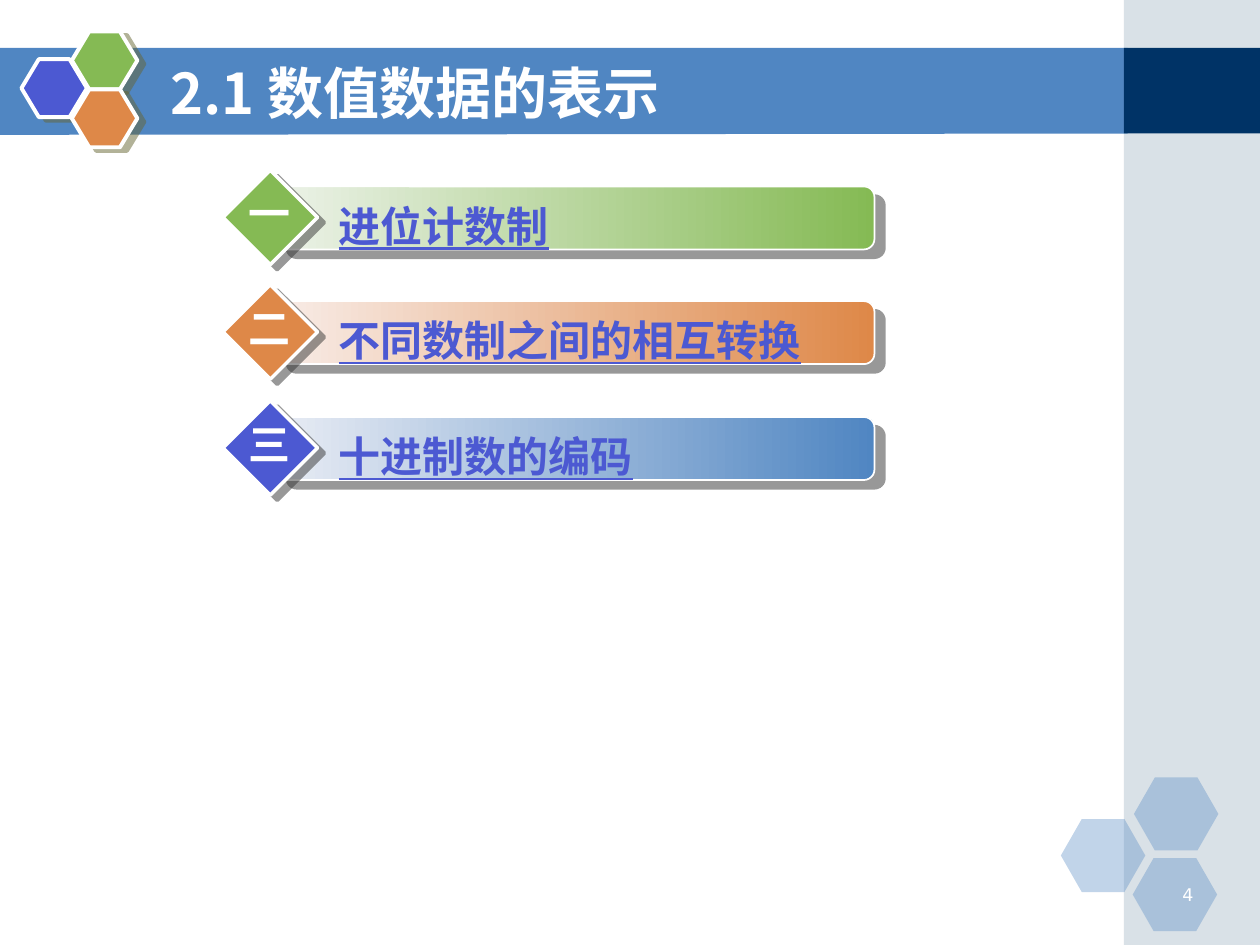
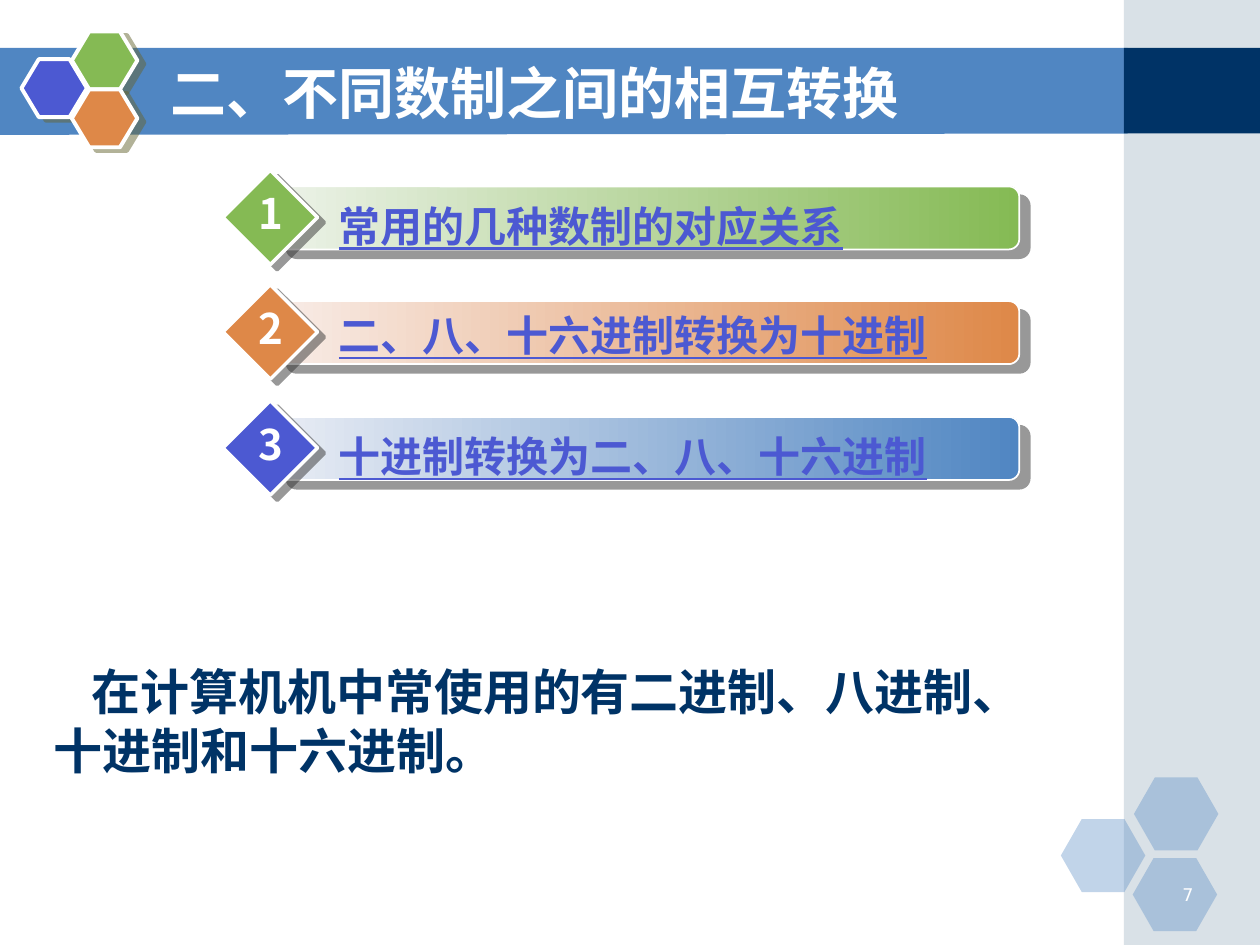
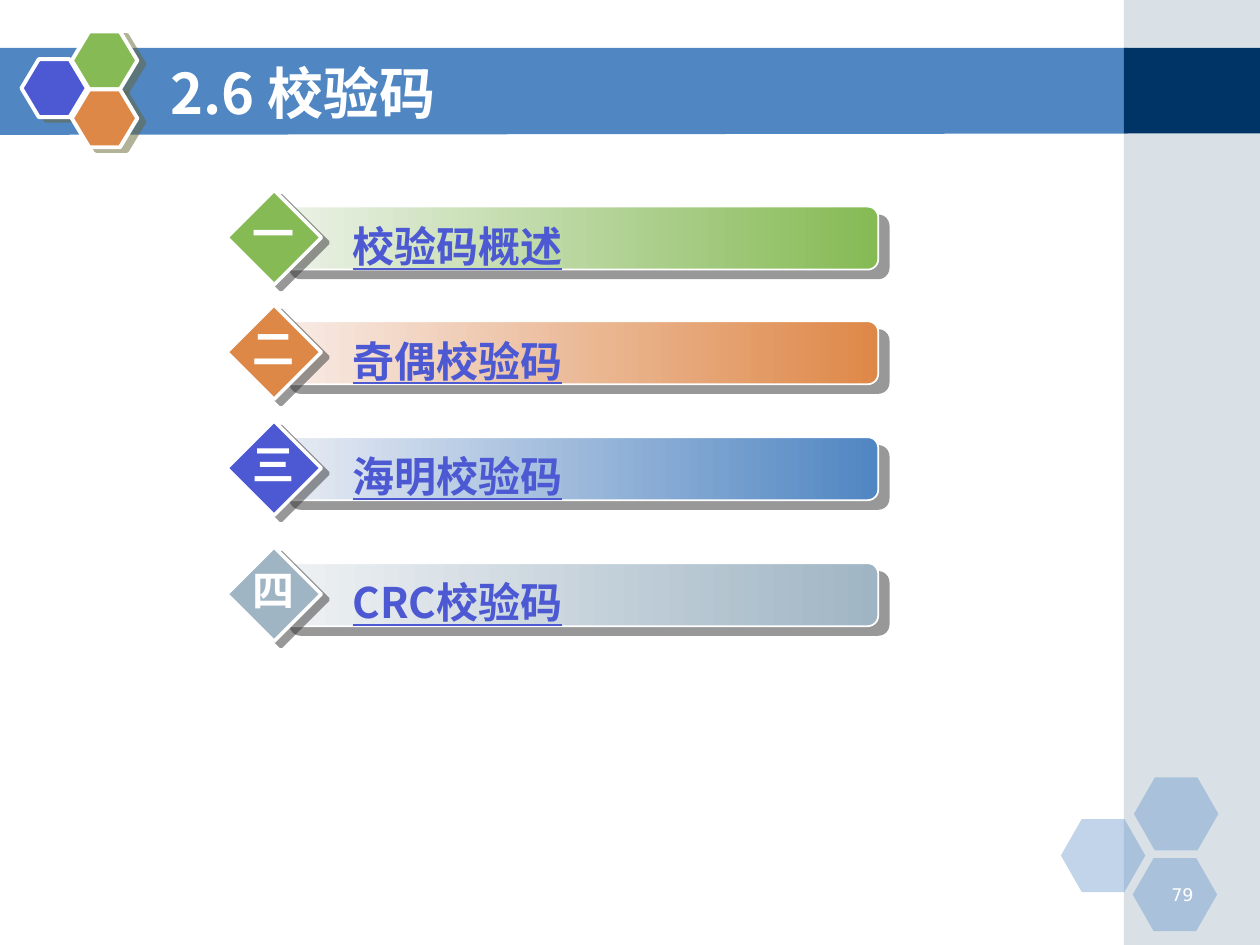
"""Build three agenda slides on number representation and check codes."""
from dataclasses import dataclass

from lxml import etree
from pptx import Presentation
from pptx.dml.color import RGBColor
from pptx.enum import shapes as kinds, text as txt
from pptx.oxml import ns
from pptx.util import Inches, Pt

WHITE = RGBColor(0xFF, 0xFF, 0xFF)
NAVY = RGBColor(0x00, 0x33, 0x66)
BLUE = RGBColor(0x50, 0x86, 0xC2)
INDIGO = RGBColor(0x4C, 0x59, 0xD2)
GREEN = RGBColor(0x85, 0xBA, 0x54)
ORANGE = RGBColor(0xDE, 0x88, 0x48)
STEEL = RGBColor(0xA0, 0xB5, 0xC4)
PALE_GREEN = RGBColor(0xEC, 0xF2, 0xE8)
PALE_ORANGE = RGBColor(0xF8, 0xEC, 0xE7)
PALE_BLUE = RGBColor(0xE8, 0xEC, 0xF4)
PALE_STEEL = RGBColor(0xEF, 0xF2, 0xF4)
OLIVE = RGBColor(0x66, 0x66, 0x33)
CHARCOAL = RGBColor(0x33, 0x33, 0x33)

CJK_FONT = "Noto Sans CJK SC"
NUMBER_FONT = "DejaVu Sans"
Box = tuple[float, float, float, float]


@dataclass(frozen=True)
class Shadow:
    """A half-transparent offset shadow."""
    color: RGBColor
    distance: float
    angle: int


@dataclass(frozen=True)
class Hexagon:
    """One cell of a honeycomb."""
    left: float
    top: float
    color: RGBColor


@dataclass(frozen=True)
class Palette:
    """Colours of one agenda row."""
    diamond: RGBColor
    bar_start: RGBColor
    bar_end: RGBColor


@dataclass(frozen=True)
class Entry:
    """One agenda row."""
    numeral: str
    topic: str
    top: float
    label_drop: float = 0.06


@dataclass(frozen=True)
class Agenda:
    """One agenda slide with its row measures."""
    title: str
    page: str
    entries: tuple[Entry, ...]
    left: float = 2.19
    bar_width: float = 4.75
    label_width: float = 4.3
    label_height: float = 0.5
    label_indent: float = 0.15
    numeral_width: float = 0.54
    remark: str = ""


HEX_SHADOW = Shadow(OLIVE, 4.5, 27)
BAR_SHADOW = Shadow(CHARCOAL, 7.8, 40)
DIAMOND_SHADOW = Shadow(CHARCOAL, 5, 37)

EMBLEM = (Hexagon(0.17, 0.47, INDIGO), Hexagon(0.57, 0.25, GREEN), Hexagon(0.57, 0.71, ORANGE))
HONEYCOMB = (Hexagon(8.42, 6.5, BLUE), Hexagon(9, 6.17, BLUE), Hexagon(8.99, 6.81, BLUE))

PALETTES = (
    Palette(GREEN, PALE_GREEN, GREEN),
    Palette(ORANGE, PALE_ORANGE, ORANGE),
    Palette(INDIGO, PALE_BLUE, BLUE),
    Palette(STEEL, PALE_STEEL, STEEL),
)

AGENDAS = (
    Agenda("2.1 数值数据的表示", "4", (
        Entry("一", "进位计数制", 1.48),
        Entry("二", "不同数制之间的相互转换", 2.39),
        Entry("三", "十进制数的编码", 3.31),
    )),
    Agenda("二、不同数制之间的相互转换", "7", (
        Entry("1", "常用的几种数制的对应关系", 1.48),
        Entry("2", "二、八、十六进制转换为十进制", 2.39, 0.02),
        Entry("3", "十进制转换为二、八、十六进制", 3.31),
    ), bar_width=5.9, label_width=5.51, label_height=0.9, numeral_width=0.37,
        remark="在计算机机中常使用的有二进制、八进制、十进制和十六进制。"),
    Agenda("2.6 校验码", "79", (
        Entry("一", "校验码概述", 1.64),
        Entry("二", "奇偶校验码", 2.55),
        Entry("三", "海明校验码", 3.47),
        Entry("四", "CRC校验码", 4.47),
    ), left=2.22, label_width=3.75, label_indent=0.23, numeral_width=0.53),
)


def place(box: Box) -> list[Inches]:
    """Turn a box in inches into lengths."""
    return [Inches(side) for side in box]


def add_alpha(color_element, percent: int) -> None:
    """Make a colour element partly transparent."""
    etree.SubElement(color_element, ns.qn("a:alpha"), val=str(percent * 1000))


def cast_shadow(shape, shadow: Shadow) -> None:
    """Give a shape an offset shadow."""
    effects = shape.element.spPr.find(ns.qn("a:effectLst"))
    outer = etree.SubElement(effects, ns.qn("a:outerShdw"), dist=str(Pt(shadow.distance)),
                             dir=str(shadow.angle * 60000), algn="ctr", rotWithShape="0")
    add_alpha(etree.SubElement(outer, ns.qn("a:srgbClr"), val=str(shadow.color)), 50)


def paint(shape, fill: RGBColor, alpha: int = 100) -> None:
    """Fill a shape flatly, without outline or shadow."""
    shape.shadow.inherit = False
    shape.fill.solid()
    shape.fill.fore_color.rgb = fill
    shape.line.fill.background()
    if alpha < 100:
        add_alpha(shape.element.spPr.find(".//" + ns.qn("a:srgbClr")), alpha)


def add_solid(slide, kind, box: Box, fill: RGBColor, alpha: int = 100):
    """Add a flat preset shape."""
    shape = slide.shapes.add_shape(kind, *place(box))
    paint(shape, fill, alpha)
    return shape


def outline(shape, width: float, shadow: Shadow) -> None:
    """Give a shape a white edge and a shadow."""
    shape.line.color.rgb = WHITE
    shape.line.width = Pt(width)
    cast_shadow(shape, shadow)


def write(paragraph, words: str, size: float, color: RGBColor, font: str = CJK_FONT,
          bold: bool = True, underline: bool = False) -> None:
    """Add one formatted run to a paragraph."""
    run = paragraph.add_run()
    run.text = words
    run.font.size = Pt(size)
    run.font.bold = bold
    if underline:
        run.font.underline = True
    run.font.color.rgb = color
    run.font.name = font
    latin = run.font._element.find(ns.qn("a:latin"))
    latin.addnext(latin.makeelement(ns.qn("a:ea"), typeface=font))


def add_text(slide, box: Box, align=txt.PP_ALIGN.LEFT, wrap: bool = True,
             margin: float = 0, indent: float = 0):
    """Add a text box and return its first paragraph."""
    frame = slide.shapes.add_textbox(*place(box)).text_frame
    frame.word_wrap = wrap
    paragraph = frame.paragraphs[0]
    paragraph.alignment = align
    properties = paragraph._p.get_or_add_pPr()
    properties.set("marL", str(Inches(margin)))
    properties.set("indent", str(Inches(indent)))
    return paragraph


def draw_backdrop(slide) -> None:
    """Draw the band, side panel, honeycomb and emblem."""
    builder = slide.shapes.build_freeform(Inches(-0.01), Inches(0.38))
    corners = ((8.95, 0.38), (8.95, 1.06), (-0.01, 1.07))
    builder.add_line_segments([(Inches(x), Inches(y)) for x, y in corners], close=True)
    paint(builder.convert_to_shape(), BLUE)
    rectangle, hexagon = kinds.MSO_SHAPE.RECTANGLE, kinds.MSO_SHAPE.HEXAGON
    add_solid(slide, rectangle, (8.92, 0, 1.08, 7.5), STEEL, 40)
    add_solid(slide, rectangle, (8.92, 0.38, 1.08, 0.68), NAVY)
    for cell in HONEYCOMB:
        shape = add_solid(slide, hexagon, (cell.left, cell.top, 0.67, 0.58), cell.color, 35)
        shape.adjustments[0] = 0.286
    for cell in EMBLEM:
        shape = add_solid(slide, hexagon, (cell.left, cell.top, 0.52, 0.46), cell.color)
        shape.adjustments[0] = 0.3
        outline(shape, 2.25, HEX_SHADOW)


def move_backdrop_to_layout(slide, layout) -> None:
    """Hand the drawn backdrop over to the layout, shared by every slide."""
    for placeholder in list(layout.placeholders):
        if placeholder.placeholder_format.type != kinds.PP_PLACEHOLDER.TITLE:
            layout.shapes.element.remove(placeholder.element)
    for shape in list(slide.shapes):
        if not shape.is_placeholder:
            layout.shapes.element.append(shape.element)


def set_title(slide, words: str) -> None:
    """Place and format the title."""
    title = slide.shapes.title
    title.left, title.top, title.width, title.height = place((1.25, 0.42, 7.33, 0.62))
    frame = title.text_frame
    frame.auto_size = txt.MSO_AUTO_SIZE.NONE
    frame.vertical_anchor = txt.MSO_ANCHOR.MIDDLE
    frame.paragraphs[0].alignment = txt.PP_ALIGN.LEFT
    write(frame.paragraphs[0], words, 32, WHITE)


def draw_entry(slide, agenda: Agenda, entry: Entry, palette: Palette) -> None:
    """Draw one agenda row: bar, diamond, topic and numeral."""
    left, top = agenda.left, entry.top
    bar = add_solid(slide, kinds.MSO_SHAPE.ROUNDED_RECTANGLE,
                    (left, top, agenda.bar_width, 0.5), palette.bar_end)
    bar.fill.gradient()
    bar.fill.gradient_angle = 0
    for stop, color, position in zip(bar.fill.gradient_stops,
                                     (palette.bar_start, palette.bar_end), (0, 1)):
        stop.color.rgb = color
        stop.position = position
    outline(bar, 1, BAR_SHADOW)
    diamond = add_solid(slide, kinds.MSO_SHAPE.DIAMOND,
                        (left - 0.42, top - 0.13, 0.75, 0.75), palette.diamond)
    outline(diamond, 2, DIAMOND_SHADOW)
    label_box = (left + 0.25, top + entry.label_drop, agenda.label_width, agenda.label_height)
    topic = add_text(slide, label_box, margin=agenda.label_indent)
    write(topic, entry.topic, 24, INDIGO, underline=True)
    numeral_left = left - 0.05 - agenda.numeral_width / 2
    numeral = add_text(slide, (numeral_left, top - 0.04, agenda.numeral_width, 0.5),
                       txt.PP_ALIGN.CENTER, wrap=False)
    write(numeral, entry.numeral, 24, WHITE)


def fill_slide(slide, agenda: Agenda) -> None:
    """Write the title, page number, rows and remark of a slide."""
    set_title(slide, agenda.title)
    page = add_text(slide, (9.07, 6.97, 0.5, 0.25), txt.PP_ALIGN.RIGHT)
    write(page, agenda.page, 10, WHITE, NUMBER_FONT, bold=False)
    for entry, palette in zip(agenda.entries, PALETTES):
        draw_entry(slide, agenda, entry, palette)
    if agenda.remark:
        remark = add_text(slide, (0.33, 5.2, 8.26, 1.03), indent=0.3)
        write(remark, agenda.remark, 28, NAVY)


def main() -> None:
    """Build and save the presentation."""
    presentation = Presentation()
    presentation.slide_width, presentation.slide_height = Inches(10), Inches(7.5)
    layout = presentation.slide_layouts[5]
    slides = [presentation.slides.add_slide(layout) for _ in AGENDAS]
    draw_backdrop(slides[0])
    move_backdrop_to_layout(slides[0], layout)
    for slide, agenda in zip(slides, AGENDAS):
        fill_slide(slide, agenda)
    presentation.save("out.pptx")


if __name__ == "__main__":
    main()
